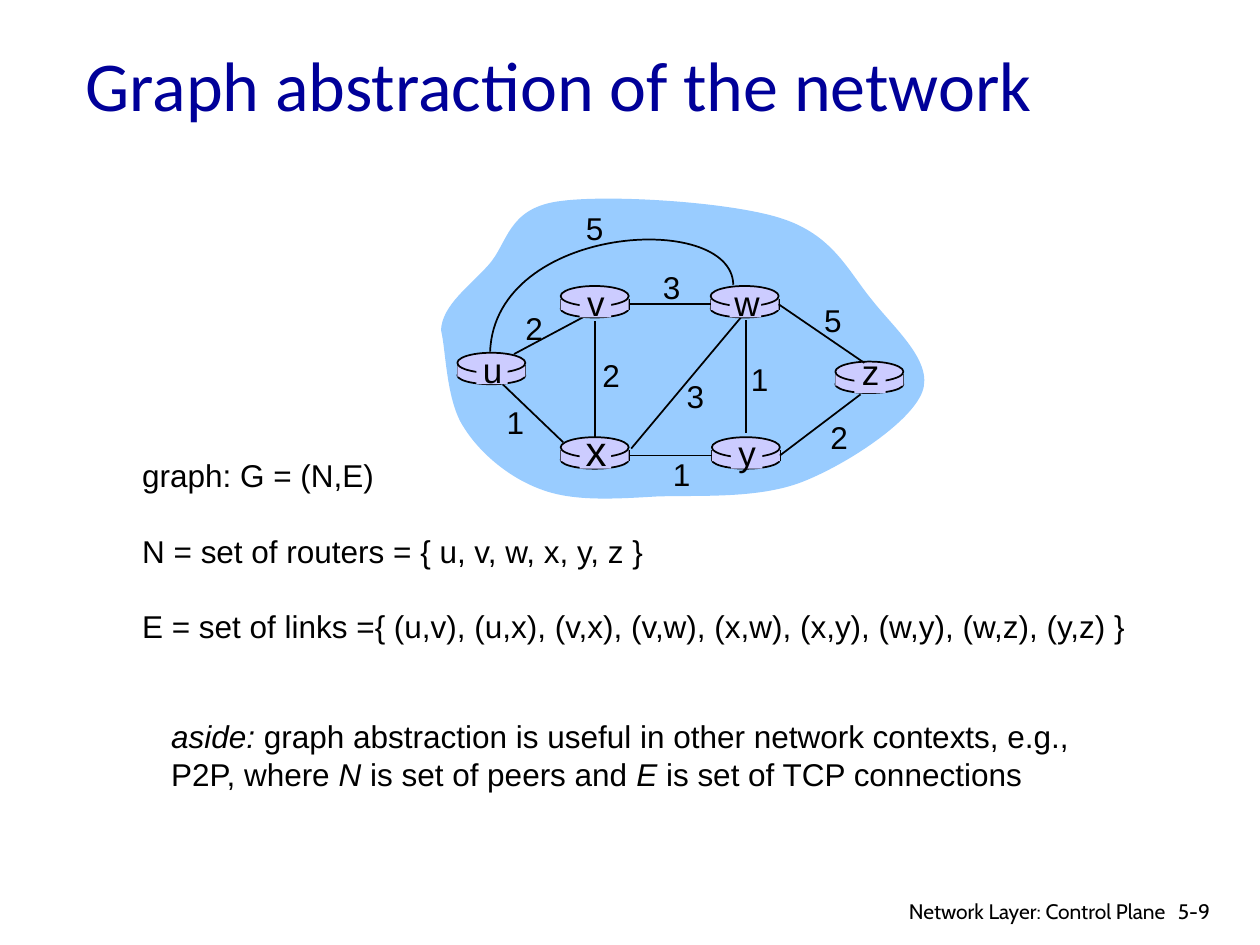
from lxml.etree import SubElement
from pptx import Presentation
from pptx.dml.color import RGBColor
from pptx.enum.shapes import MSO_CONNECTOR, MSO_SHAPE
from pptx.enum.text import MSO_ANCHOR, PP_ALIGN
from pptx.oxml.ns import qn
from pptx.util import Cm, Pt

CLOUD = [
    (3.5, 2.62), (3.51, 2.42), (3.73, 2.27), (3.88, 2.1),
    (4.03, 1.93), (4.03, 1.66), (4.42, 1.6),
    (4.8, 1.54), (5.78, 1.6), (6.19, 1.73),
    (6.61, 1.86), (6.73, 2.15), (6.92, 2.38),
    (7.1, 2.61), (7.41, 2.87), (7.32, 3.11),
    (7.23, 3.35), (6.73, 3.68), (6.38, 3.82),
    (6.03, 3.96), (5.57, 3.93), (5.22, 3.94),
    (4.88, 3.96), (4.56, 3.98), (4.31, 3.89),
    (4.05, 3.8), (3.81, 3.6), (3.68, 3.39),
    (3.54, 3.18), (3.54, 2.78), (3.5, 2.62),
]
ARC_U_W = [(5.82, 2.26), (5.81, 1.67), (3.93, 1.78), (3.89, 2.79)]

ROUTERS = {
    "u": (3.63, 2.8, 20, 0.13),
    "x": (4.45, 3.47, 24, 0.1),
    "v": (4.45, 2.27, 20, 0.13),
    "w": (5.64, 2.27, 20, 0.13),
    "y": (5.65, 3.47, 20, 0.12),
    "z": (6.63, 2.87, 20, 0.08),
}
LINKS = [
    ((5.92, 2.54), (5.92, 3.44), None, None),
    ((4.72, 2.55), (4.72, 3.48), None, None),
    ((5.01, 3.56), (5.88, 2.52), None, None),
    ((6.2, 3.6), (6.83, 3.13), ("y", 3), None),
    ((5.65, 3.62), (5.02, 3.62), ("y", 1), ("x", 3)),
    ((4.47, 3.51), (3.99, 3.05), None, None),
    ((5.64, 2.42), (5.01, 2.42), ("w", 1), ("v", 3)),
    ((6.18, 2.41), (6.86, 2.88), ("w", 3), None),
]
COSTS = [
    ("2", 4.24, 2.6), ("2", 4.85, 2.98), ("1", 4.09, 3.35),
    ("3", 5.52, 3.14), ("1", 5.41, 3.76), ("1", 6.03, 3.01),
    ("2", 6.66, 3.47), ("5", 6.61, 2.54), ("3", 5.33, 2.28),
    ("5", 4.72, 1.81),
]
DEFINITIONS = [
    [("graph: G = (N,E)", False)],
    [("N = set of routers = { u, v, w, x, y, z }", False)],
    [("E = set of links ={ (u,v), (u,x), (v,x), (v,w), (x,w), "
      "(x,y), (w,y), (w,z), (y,z) }", False)],
]
ASIDE = [
    [("aside:", True),
     (" graph abstraction is useful in other network contexts, e.g.,", False)],
    [("P2P, where ", False), ("N", True), (" is set of peers and ", False),
     ("E", True), (" is set of TCP connections", False)],
]


def inch(value):
    return Cm(value * 2.54)


def color(value):
    return RGBColor.from_string(value)


class SlidePainter:
    ink = "000000"
    router_fill = "CCCCFF"
    cloud_fill = "99CCFF"
    title_color = "000099"
    font = "Arial"
    title_font = "Calibri"
    footer_font = "Cabin"
    line_width = 1
    text_size = 18
    line_pitch = 21.6

    def __init__(self, slide):
        self.slide = slide
        self.shapes = slide.shapes

    def format_font(self, font, name, size, tint):
        font.name = name
        font.size = Pt(size)
        font.color.rgb = color(tint)

    def paint(self, shape, fill=None, outline=False):
        shape.shadow.inherit = False
        if fill:
            shape.fill.solid()
            shape.fill.fore_color.rgb = color(fill)
        else:
            shape.fill.background()
        if outline:
            shape.line.color.rgb = color(self.ink)
            shape.line.width = Pt(self.line_width)
        else:
            shape.line.fill.background()

    def title(self, text):
        title = self.shapes.title
        title.left, title.top = inch(0.58), inch(0.23)
        title.width, title.height = inch(8.5), inch(0.87)
        title.text_frame.text = text
        title.text_frame.vertical_anchor = MSO_ANCHOR.MIDDLE
        para = title.text_frame.paragraphs[0]
        para.alignment = PP_ALIGN.LEFT
        self.format_font(para.font, self.title_font, 40, self.title_color)

    def curve(self, controls, fill=None, outline=False):
        points = [(inch(x), inch(y)) for x, y in controls]
        builder = self.shapes.build_freeform(*points[0], scale=1.0)
        builder.add_line_segments(points[1:], close=bool(fill))
        shape = builder.convert_to_shape()
        segments = list(shape._element.iter(qn("a:lnTo")))
        for index in range(0, len(segments), 3):
            bezier = segments[index]
            bezier.tag = qn("a:cubicBezTo")
            for segment in segments[index + 1:index + 3]:
                bezier.append(segment[0])
                segment.getparent().remove(segment)
        self.paint(shape, fill, outline)

    def block(self, kind, left, top, width, height, outline=False):
        shape = self.shapes.add_shape(
            kind, inch(left), inch(top), inch(width), inch(height))
        self.paint(shape, self.router_fill, outline)
        return shape

    def line(self, start, end, source=None, target=None):
        link = self.shapes.add_connector(
            MSO_CONNECTOR.STRAIGHT, *map(inch, start + end))
        link.line.color.rgb = color(self.ink)
        link.line.width = Pt(self.line_width)
        SubElement(link._element.spPr, qn("a:effectLst"))
        if source:
            link.begin_connect(*source)
        if target:
            link.end_connect(*target)

    def router(self, left, top):
        width = 0.54
        self.block(MSO_SHAPE.OVAL, left, top + 0.11, width, 0.14, True)
        for side in (left, left + width):
            self.line((side, top + 0.1), (side, top + 0.19))
        body = self.block(MSO_SHAPE.RECTANGLE, left, top + 0.1, width, 0.09)
        self.block(MSO_SHAPE.OVAL, left, top, width, 0.16, True)
        return body

    def text(self, left, top, width, height, paragraphs, size=text_size,
             font=font, align=PP_ALIGN.LEFT, wrap=False, pitch=None, gap=0):
        box = self.shapes.add_textbox(
            inch(left), inch(top), inch(width), inch(height))
        frame = box.text_frame
        frame.word_wrap = wrap
        for index, spans in enumerate(paragraphs):
            para = frame.add_paragraph() if index else frame.paragraphs[0]
            para.alignment = align
            self.format_font(para.font, font, size, self.ink)
            if pitch:
                para.line_spacing = Pt(pitch)
            if index and gap:
                para.space_before = Pt(gap)
            for words, italic in spans:
                span = para.add_run()
                span.text = words
                if italic:
                    span.font.italic = True

    def label(self, text, center_x, center_y, size=text_size, width=0.34):
        height = 0.1 + size / 60
        self.text(center_x - width / 2, center_y - height / 2, width, height,
                  [[(text, False)]], size, align=PP_ALIGN.CENTER)

    def graph(self):
        self.curve(CLOUD, fill=self.cloud_fill)
        self.line((4.08, 2.81), (4.68, 2.49))
        bodies = {name: self.router(left, top)
                  for name, (left, top, size, drop) in ROUTERS.items()}
        for start, end, *joints in LINKS:
            self.line(start, end, *(
                joint and (bodies[joint[0]], joint[1]) for joint in joints))
        self.curve(ARC_U_W, outline=True)
        for name, (left, top, size, drop) in ROUTERS.items():
            self.block(MSO_SHAPE.RECTANGLE, left + 0.15, top + 0.02, 0.25, 0.23)
            self.label(name, left + 0.28, top + drop, size, 0.38)
        for cost, center_x, center_y in COSTS:
            self.label(cost, center_x, center_y)


def main():
    deck = Presentation()
    deck.slide_width, deck.slide_height = inch(10), inch(7.5)
    painter = SlidePainter(deck.slides.add_slide(deck.slide_layouts[5]))
    pitch = painter.line_pitch
    painter.graph()
    painter.text(1.03, 3.57, 8.09, 1.6, DEFINITIONS, pitch=pitch, gap=pitch)
    painter.title("Graph abstraction of the network")
    painter.text(1.26, 5.64, 7.4, 0.7, ASIDE, pitch=pitch)
    painter.text(9.25, 7.08, 0.6, 0.3, [[("5-9", False)]], 12,
                 painter.footer_font, wrap=True)
    painter.text(6.97, 7.08, 2.38, 0.26,
                 [[("Network Layer: Control Plane", False)]], 12,
                 painter.footer_font, PP_ALIGN.RIGHT, wrap=True)
    deck.save("out.pptx")


if __name__ == "__main__":
    main()
